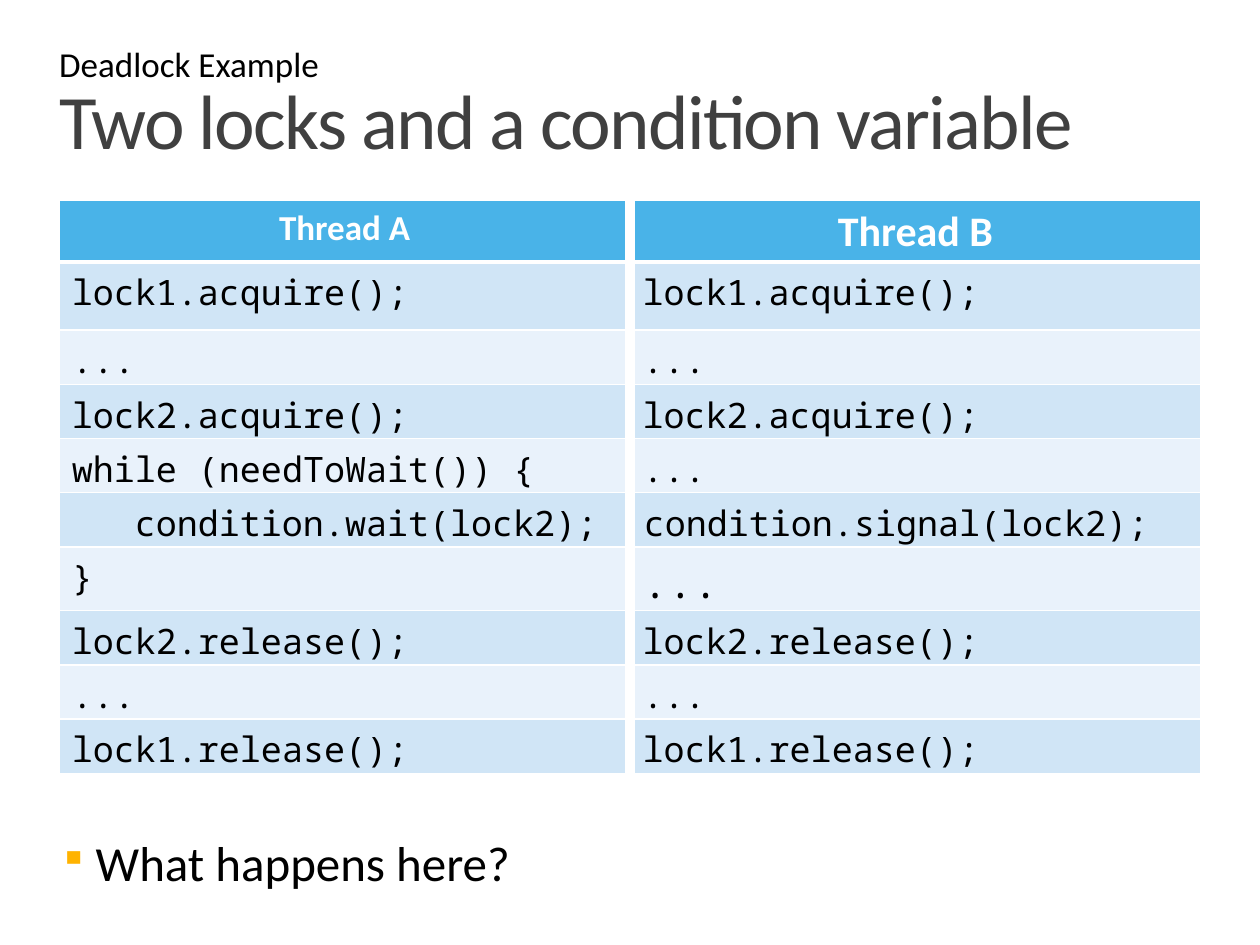
from lxml import etree
from pptx import Presentation
from pptx.dml.color import RGBColor
from pptx.enum.text import MSO_ANCHOR, PP_ALIGN
from pptx.oxml.ns import qn
from pptx.util import Inches, Pt

CENTER, LEFT = PP_ALIGN.CENTER, PP_ALIGN.LEFT
TOP, BOTTOM = MSO_ANCHOR.TOP, MSO_ANCHOR.BOTTOM

WHITE = RGBColor(0xFF, 0xFF, 0xFF)
BLACK = RGBColor(0, 0, 0)
GRAY = RGBColor(0x40, 0x40, 0x40)
AMBER = RGBColor(0xFF, 0xB3, 0x00)
HEADER_BLUE = RGBColor(0x49, 0xB3, 0xE8)
BANDS = [RGBColor(0xD0, 0xE5, 0xF6), RGBColor(0xE9, 0xF2, 0xFB)]
SANS, MONO = "Calibri", "Noto Sans Mono"

SUBJECT = "Deadlock Example"
TITLE = "Two locks and a condition variable"
QUESTION = "What happens here?"
HEADERS = ["Thread A", "Thread B"]
STEPS = [
    ("lock1.acquire();", "lock1.acquire();"),
    ("...", "..."),
    ("lock2.acquire();", "lock2.acquire();"),
    ("while (needToWait()) {", "..."),
    ("condition.wait(lock2);", "condition.signal(lock2);"),
    ("}", "..."),
    ("lock2.release();", "lock2.release();"),
    ("...", "..."),
    ("lock1.release();", "lock1.release();"),
]
LARGE_CELLS = {(0, 1), (6, 1)}
INDENTS = {(5, 0): 0.5, (5, 1): 0.01}
ROW_HEIGHTS = {0: 0.49, 1: 0.54}
ROW_H = 0.42
X, W = 0.47, 9.06


def set_font(p, name, size, color, bold=False):
    p.font.name, p.font.size, p.font.bold = name, Pt(size), bold
    p.font.color.rgb = color


def add_text(s, text, top, height, size, color, anchor=TOP, inset=0):
    tf = s.shapes.add_textbox(Inches(X), Inches(top), Inches(W), Inches(height)).text_frame
    tf.word_wrap = True
    tf.vertical_anchor = anchor
    tf.margin_left = tf.margin_right = tf.margin_bottom = 0
    tf.margin_top = Inches(inset)
    p = tf.paragraphs[0]
    p.text = text
    set_font(p, SANS, size, color)
    return p


def set_borders(cell, widths):
    tcPr = cell._tc.get_or_add_tcPr()
    for i, (side, width) in enumerate(widths.items()):
        ln = etree.Element(qn("a:ln" + side), w=str(Pt(width)))
        fill = etree.SubElement(ln, qn("a:solidFill"))
        etree.SubElement(fill, qn("a:srgbClr"), val=str(WHITE))
        tcPr.insert(i, ln)


def fill_cell(cell, row, col, text):
    header = row == 0
    cell.margin_left = cell.margin_right = Inches(0.1)
    cell.margin_top, cell.margin_bottom = Inches(0.05), 0
    cell.vertical_anchor = TOP
    cell.fill.solid()
    cell.fill.fore_color.rgb = HEADER_BLUE if header else BANDS[(row - 1) % 2]
    set_borders(cell, {
        "L": 6 if col == 1 else 1,
        "R": 6 if col == 0 else 1,
        "T": 3 if row == 1 else 1,
        "B": 3 if header else 1,
    })
    p = cell.text_frame.paragraphs[0]
    p.text = text
    p.alignment = CENTER if header else LEFT
    size = 24 if (row, col) in LARGE_CELLS else 20
    set_font(p, SANS if header else MONO, size, WHITE if header else BLACK, header)
    if (row, col) in INDENTS:
        p._p.get_or_add_pPr().set("marL", str(Inches(INDENTS[row, col])))


def add_threads(s):
    rows = [HEADERS, *STEPS]
    heights = [ROW_HEIGHTS.get(i, ROW_H) for i in range(len(rows))]
    table = s.shapes.add_table(len(rows), len(HEADERS), Inches(X), Inches(1.59),
                               Inches(W), Inches(sum(heights))).table
    table.horz_banding = False
    for row, texts in enumerate(rows):
        table.rows[row].height = Inches(heights[row])
        for col, text in enumerate(texts):
            fill_cell(table.cell(row, col), row, col, text)


def add_bullet(p):
    pPr = p._p.get_or_add_pPr()
    pPr.set("marL", str(Inches(0.29)))
    pPr.set("indent", str(Inches(-0.29)))
    color = etree.Element(qn("a:buClr"))
    etree.SubElement(color, qn("a:srgbClr"), val=str(AMBER))
    size = etree.Element(qn("a:buSzPct"), val="80000")
    char = etree.Element(qn("a:buChar"), char="▪")
    at = pPr.index(pPr.find(qn("a:defRPr")))
    for i, el in enumerate((color, size, char)):
        pPr.insert(at + i, el)


def main():
    prs = Presentation()
    prs.slide_width, prs.slide_height = Inches(10), Inches(7.5)
    s = prs.slides.add_slide(prs.slide_layouts[6])

    add_threads(s)

    p = add_text(s, QUESTION, 6.61, 0.48, 28, BLACK)
    p.space_before = Pt(6)
    add_bullet(p)

    p = add_text(s, TITLE, 0.68, 1.3, 44, GRAY, inset=0.04)
    p.line_spacing = 0.8
    p.runs[0].font._element.set("spc", "-100")

    add_text(s, SUBJECT, 0.28, 0.39, 20, BLACK, anchor=BOTTOM)

    prs.save("out.pptx")


if __name__ == "__main__":
    main()
